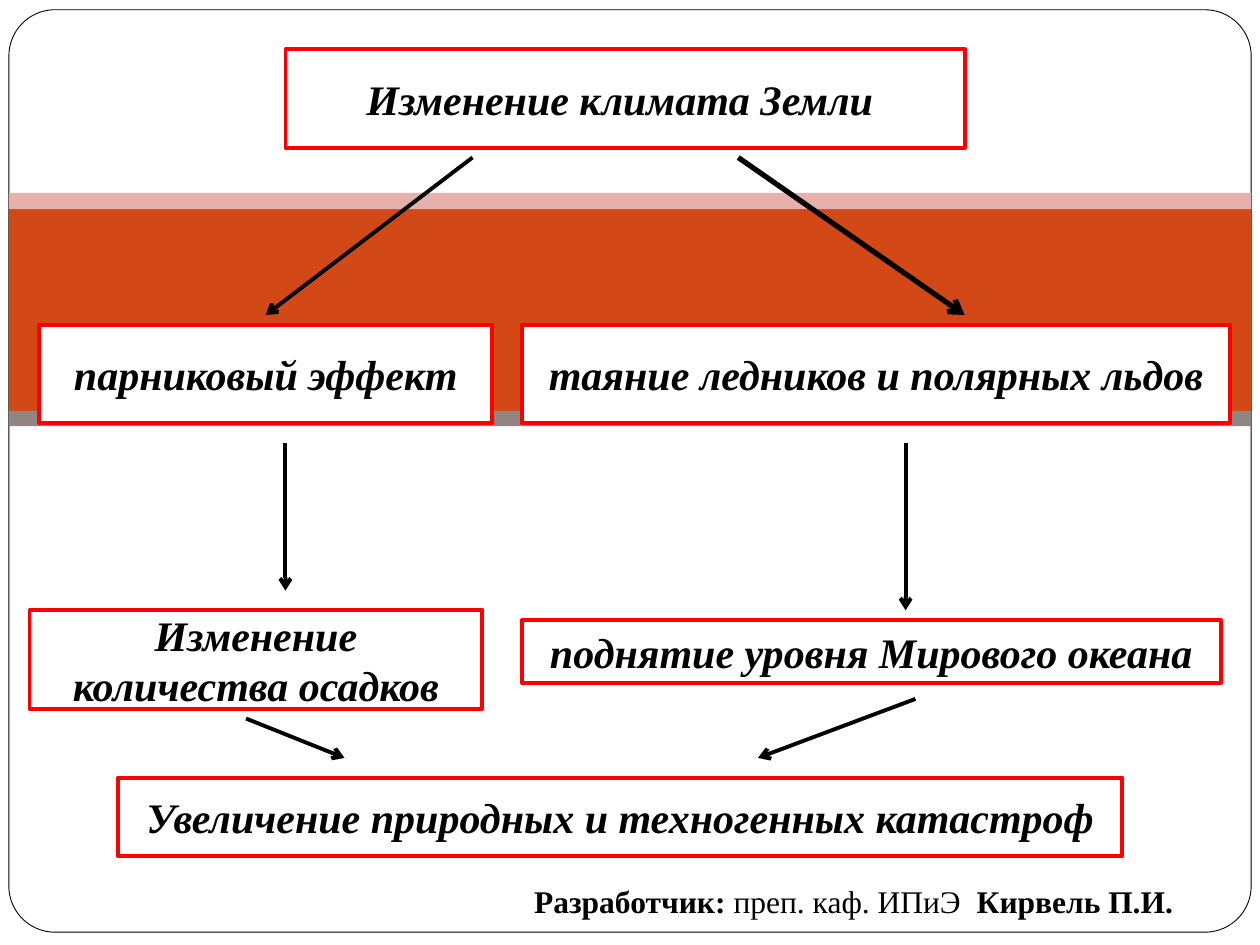
from lxml import etree
from pptx import Presentation
from pptx import util as u
from pptx.dml.color import RGBColor
from pptx.enum import shapes, text
from pptx.oxml.ns import qn

COLS, ROWS = 128, 96
FONT = "Times New Roman"
COLORS = {"paper": "FFFFFF", "ink": "000000", "border": "FF0000",
          "band": "D34817", "band_top": "E6B1AC", "band_bottom": "918485"}

# Grid cells: left, top, width, height
TITLE = ("Изменение климата Земли ", (29, 5, 69, 10))
CAUSES = [
    ("парниковый эффект", (4, 33, 46, 10)),
    ("таяние ледников и полярных льдов", (53, 33, 72, 10)),
    ("Изменение количества осадков", (3, 62, 46, 10)),
    ("Увеличение природных и техногенных катастроф", (12, 79, 102, 8)),
]
OCEAN = ("поднятие уровня Мирового океана", (53, 63, 71, 6.4))
# Grid points: from x, from y, to x, to y, then line width
ARROWS = [
    (48, 16, 27, 32, 2.25), (75, 16, 98, 32, 3),
    (29, 45, 29, 60, 2.25), (92, 45, 92, 62, 2.25),
    (25, 73, 35, 77, 2.25), (93, 71, 77, 77, 2.25),
]


def color(name):
    return RGBColor.from_string(COLORS[name])


def on_grid(area, x, y, *size):
    """Turn grid columns and rows into lengths inside the area."""
    left, top, width, height = area
    lengths = [left + width * x / COLS, top + height * y / ROWS]
    if size:
        lengths += [width * size[0] / COLS, height * size[1] / ROWS]
    return [u.Emu(round(v)) for v in lengths]


def paint(sp, fill, line=None, width=0):
    sp.fill.solid()
    sp.fill.fore_color.rgb = color(fill)
    if line:
        sp.line.color.rgb = color(line)
        sp.line.width = u.Pt(width)
    else:
        sp.line.fill.background()


def add_shape(s, area, cell, fill, line=None, width=0,
              kind=shapes.MSO_SHAPE.RECTANGLE):
    sp = s.shapes.add_shape(kind, *on_grid(area, *cell))
    sp.shadow.inherit = False
    paint(sp, fill, line, width)
    return sp


def format_run(r, size, bold=True, italic=False):
    r.font.name, r.font.size = FONT, u.Pt(size)
    r.font.bold, r.font.italic = bold, italic
    r.font.color.rgb = color("ink")


def write_label(sp, label, grow=False):
    tf = sp.text_frame
    tf.text = label
    tf.word_wrap = True
    tf.auto_size = (text.MSO_AUTO_SIZE.SHAPE_TO_FIT_TEXT if grow
                    else text.MSO_AUTO_SIZE.NONE)
    tf.vertical_anchor = text.MSO_ANCHOR.TOP if grow else text.MSO_ANCHOR.MIDDLE
    p = tf.paragraphs[0]
    p.alignment = text.PP_ALIGN.CENTER
    format_run(p.runs[0], 24, italic=True)


def add_arrow(s, area, x1, y1, x2, y2, width):
    line = s.shapes.add_connector(shapes.MSO_CONNECTOR.STRAIGHT,
                                  *on_grid(area, x1, y1), *on_grid(area, x2, y2))
    line.line.color.rgb = color("ink")
    line.line.width = u.Pt(width)
    etree.SubElement(line.line._get_or_add_ln(), qn("a:tailEnd"), type="arrow")
    etree.SubElement(line._element.spPr, qn("a:effectLst"))


def add_backdrop(s, area):
    frame = add_shape(s, area, (0.9, 1, 126.2, 93.7), "paper", "ink", 0.5,
                      shapes.MSO_SHAPE.ROUNDED_RECTANGLE)
    frame.adjustments[0] = 0.05
    for name, top, height in (("band", 20.35, 21.4), ("band_top", 19.6, 1.65),
                              ("band_bottom", 41.75, 1.55)):
        add_shape(s, area, (0.9, top, 126.2, height), name)


def add_title(s, area):
    """Place the title placeholder above the backdrop."""
    label, cell = TITLE
    title = s.shapes.title
    title.left, title.top, title.width, title.height = on_grid(area, *cell)
    paint(title, "paper", "border", 2.25)
    write_label(title, label)
    title.element.getparent().append(title.element)


def add_scheme(s, area):
    for label, cell in CAUSES + [OCEAN]:
        sp = add_shape(s, area, cell, "paper", "border", 2.25)
        write_label(sp, label, grow=label == OCEAN[0])
    for arrow in ARROWS:
        add_arrow(s, area, *arrow)


def add_credit(s, area):
    sp = s.shapes.add_textbox(*on_grid(area, 53, 89, 71, 5.1))
    paint(sp, "paper")
    tf = sp.text_frame
    tf.word_wrap = True
    tf.auto_size = text.MSO_AUTO_SIZE.SHAPE_TO_FIT_TEXT
    for part, bold in (("Разработчик:", True), (" преп. каф. ИПиЭ  ", False),
                       ("Кирвель П.И.", True)):
        r = tf.paragraphs[0].add_run()
        r.text = part
        format_run(r, 18, bold)


def main():
    prs = Presentation()
    prs.slide_width, prs.slide_height = u.Inches(10), u.Inches(7.5)
    s = prs.slides.add_slide(prs.slide_layouts.get_by_name("Title Only"))
    area = (0, 0, prs.slide_width, prs.slide_height)
    for add_region in (add_backdrop, add_title, add_scheme, add_credit):
        add_region(s, area)
    prs.save("out.pptx")


if __name__ == "__main__":
    main()
